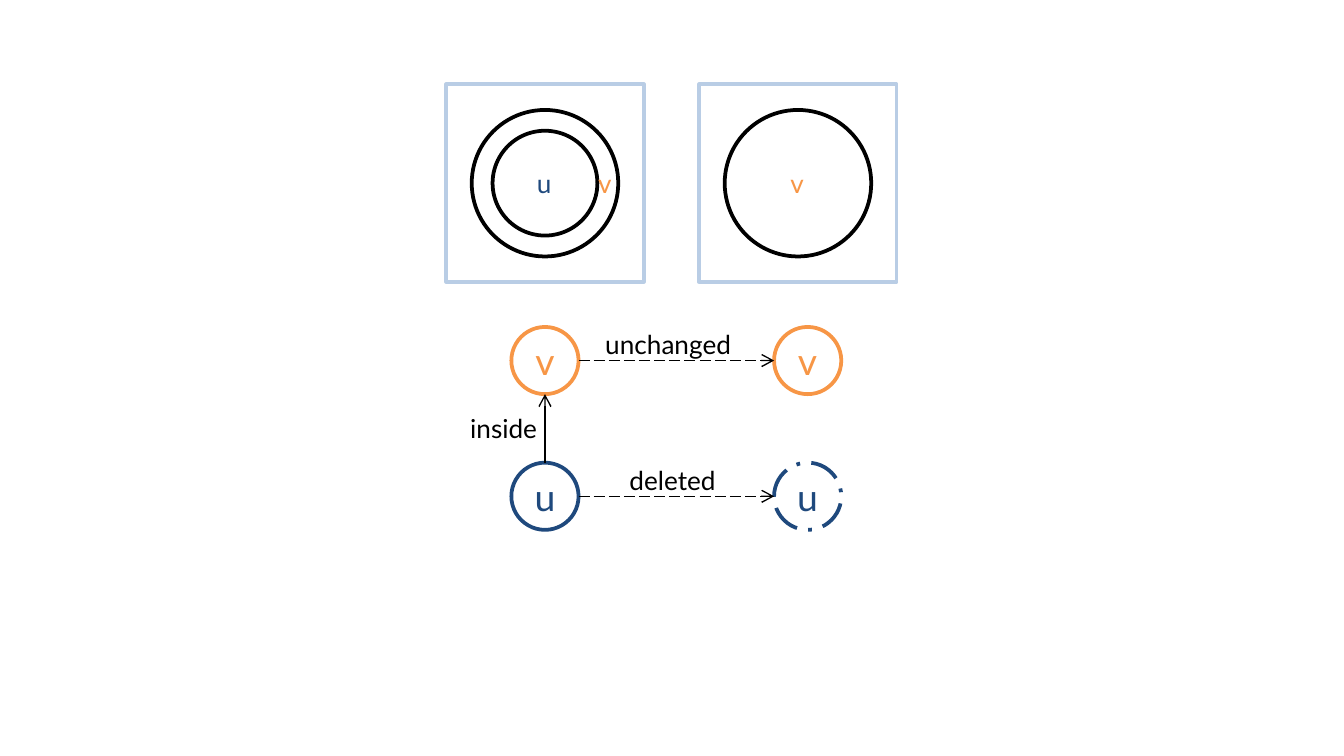
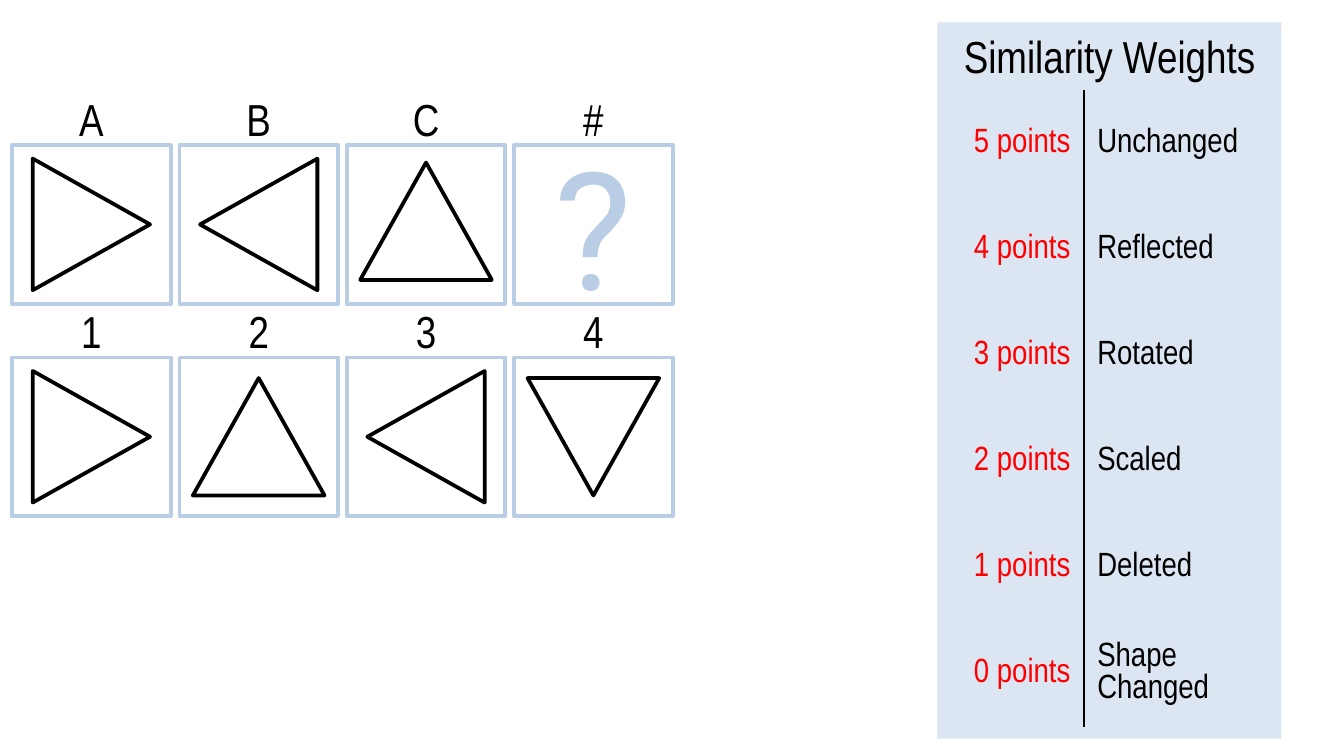
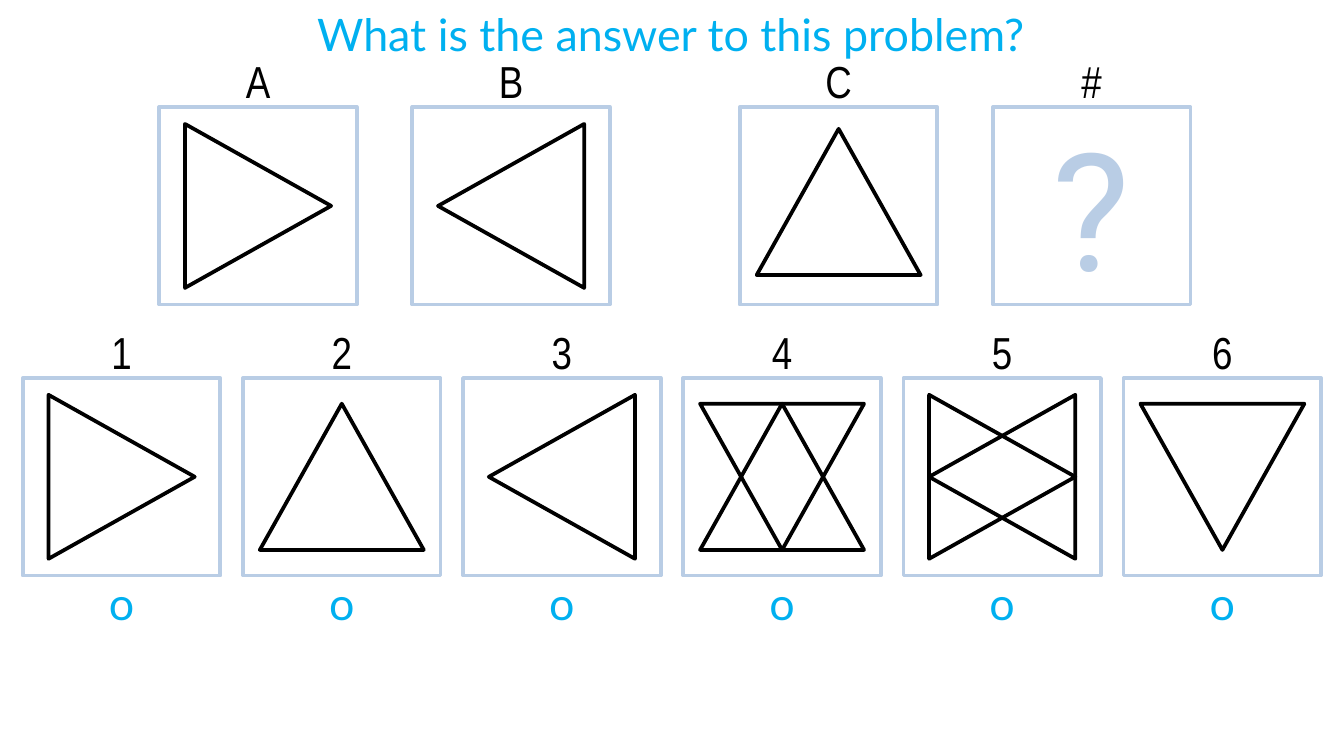
from lxml import etree
from pptx import Presentation
from pptx import util as u
from pptx.dml.color import RGBColor
from pptx.enum import dml, shapes, text
from pptx.oxml.ns import qn

# Shared look
BLACK, WHITE, RED = "000000", "FFFFFF", "FF0000"
ORANGE, NAVY, CYAN = "F79646", "1F497D", "00B0F0"
FRAME, PANEL = "B9CDE5", "DCE6F2"
LATO, NARROW, ROBOTO = "Lato", "Arial Narrow", "Roboto"
NO_GRID_STYLE = "{2D5ABB26-0587-4C30-8999-92F81FD0307C}"
LEFT, CENTER, RIGHT = text.PP_ALIGN.LEFT, text.PP_ALIGN.CENTER, text.PP_ALIGN.RIGHT
TOP, MIDDLE, BOTTOM = (text.MSO_ANCHOR.TOP, text.MSO_ANCHOR.MIDDLE,
                       text.MSO_ANCHOR.BOTTOM)
KIND = shapes.MSO_SHAPE

# A 16:9 slide as a grid of square units, 100 columns wide
SLIDE_W = u.Inches(10)
SLIDE_H = u.Emu(SLIDE_W * 9 // 16)
UNIT = SLIDE_W / 100

# Turns of the triangle, in degrees
UP, EAST, DOWN, WEST = 0, 90, 180, 270


def grid(*lengths):
    return [u.Emu(round(length * UNIT)) for length in lengths]


def rgb(hex_colour):
    return RGBColor.from_string(hex_colour)


def write(frame, words, size, font, colour, align=CENTER, anchor=MIDDLE, inset=None):
    """Put one styled paragraph into a text frame."""
    frame.text = words
    frame.vertical_anchor = anchor
    if inset is not None:
        frame.margin_left = frame.margin_right = u.Inches(inset)
        frame.margin_top = frame.margin_bottom = u.Inches(inset)
    line = frame.paragraphs[0]
    line.alignment = align
    for run in line.runs:
        run.font.size, run.font.name = u.Pt(size), font
        run.font.color.rgb = rgb(colour)


def outline(line, colour, width, dash=None):
    line.color.rgb = rgb(colour)
    line.width = u.Pt(width)
    if dash:
        line.dash_style = dash


def add_figure(parts, kind, box, stroke=None, fill=None, dash=None):
    figure = parts.add_shape(kind, *grid(*box))
    figure.shadow.inherit = False
    if fill:
        figure.fill.solid()
        figure.fill.fore_color.rgb = rgb(fill)
    else:
        figure.fill.background()
    if stroke:
        outline(figure.line, stroke, 2, dash)
    else:
        figure.line.fill.background()
    return figure


def add_caption(parts, box, words, size, font, colour, wrap=False, **layout):
    caption = parts.add_textbox(*grid(*box))
    write(caption.text_frame, words, size, font, colour, **layout)
    caption.text_frame.word_wrap = wrap
    caption.text_frame.auto_size = text.MSO_AUTO_SIZE.SHAPE_TO_FIT_TEXT


def add_arrow(parts, start, end, dash=None):
    arrow = parts.add_connector(shapes.MSO_CONNECTOR.STRAIGHT, *grid(*start, *end))
    outline(arrow.line, BLACK, 0.75, dash)
    etree.SubElement(arrow.line._get_or_add_ln(), qn("a:tailEnd"), type="arrow")
    etree.SubElement(arrow._element.spPr, qn("a:effectLst"))


# Slide 1: two drawings and the graph of their changes
def add_circle(parts, center, diameter, stroke=BLACK, dash=None):
    x, y = center
    box = (x - diameter / 2, y - diameter / 2, diameter, diameter)
    return add_figure(parts, KIND.OVAL, box, stroke, WHITE, dash)


def add_drawing(parts, left, top, diameters, names):
    """A frame with concentric circles; names are (word, colour, column)."""
    size = 14.7
    add_figure(parts, KIND.RECTANGLE, (left, top, size, size), FRAME)
    for diameter in diameters:
        add_circle(parts, (left + size / 2, top + size / 2), diameter)
    for word, colour, column in names:
        add_caption(parts, (left + column, top + 6.15, 1.15, 2.4), word, 14, LATO,
                    colour, align=LEFT, anchor=TOP, inset=0)


def add_change_graph(parts, left, top):
    node, across, down = 5, 19.55, 10.1
    radius = node / 2
    rows = [("v", ORANGE, "unchanged", 6, 12.6, None),
            ("u", NAVY, "deleted", 7.8, 9.2, dml.MSO_LINE.LONG_DASH_DOT)]
    for row, (name, colour, change, indent, width, dash) in enumerate(rows):
        y = top + radius + row * down
        for x, style in ((left + radius, None), (left + radius + across, dash)):
            circle = add_circle(parts, (x, y), node, colour, style)
            write(circle.text_frame, name, 20, LATO, colour, inset=0)
        add_arrow(parts, (left + node, y), (left + across, y), dml.MSO_LINE.LONG_DASH)
        add_caption(parts, (left + indent, y - 2.9, width, 3.4), change, 14, LATO,
                    BLACK, align=LEFT, anchor=TOP)
    add_arrow(parts, (left + radius, top + down), (left + radius, top + node))
    add_caption(parts, (left - 4.05, top + 5.9, 7.6, 3.4), "inside", 14, LATO,
                BLACK, align=LEFT, anchor=TOP)


def build_change_slide(slide):
    parts = slide.shapes
    add_change_graph(parts, 38.05, 24.33)
    add_drawing(parts, 33.2, 6.28, (10.9, 7.8), [("v", ORANGE, 11.3), ("u", NAVY, 6.75)])
    add_drawing(parts, 52.02, 6.28, (10.9,), [("v", ORANGE, 6.8)])


# Slides 2 and 3: puzzle frames with triangles
QUESTION = [("A", [EAST]), ("B", [WEST]), ("C", [UP]), ("#", [])]
SHORT_ANSWERS = [("1", [EAST]), ("2", [UP]), ("3", [WEST]), ("4", [DOWN])]
LONG_ANSWERS = SHORT_ANSWERS[:3] + [("4", [UP, DOWN]), ("5", [WEST, EAST]), ("6", [DOWN])]


def add_cell(parts, left, top, size, label_height, label, turns):
    """A labelled frame holding triangles, or a question mark if none."""
    frame = add_figure(parts, KIND.RECTANGLE, (left, top, size, size), FRAME)
    width, height = 0.83 * size, 0.74 * size
    lift = 0.02 * size if label == "C" else 0
    corner = (left + (size - width) / 2, top + (size - height) / 2 - lift)
    for turn in turns:
        triangle = add_figure(parts, KIND.ISOSCELES_TRIANGLE,
                              (*corner, width, height), BLACK)
        triangle.rotation = turn
    if not turns:
        write(frame.text_frame, "?", 88, ROBOTO, FRAME)
    add_caption(parts, (left, top - label_height, size, label_height), label, 24,
                NARROW, BLACK, wrap=True, anchor=BOTTOM, inset=0)


def add_cell_row(parts, left, top, size, pitch, label_height, cells):
    for column, (label, turns) in enumerate(cells):
        add_cell(parts, left + column * pitch, top, size, label_height, label, turns)


WEIGHTS = [("5 points", "Unchanged"), ("4 points", "Reflected"),
           ("3 points", "Rotated"), ("2 points", "Scaled"),
           ("1 points", "Deleted"), ("0 points", "Shape Changed")]


def add_divider(cell, side):
    border = etree.Element(qn(side), w=str(u.Pt(1)))
    fill = etree.SubElement(border, qn("a:solidFill"))
    etree.SubElement(fill, qn("a:srgbClr"), val=BLACK)
    cell._tc.get_or_add_tcPr().insert(0, border)


def add_weights(parts, left, top, width, height):
    panel = add_figure(parts, KIND.RECTANGLE, (left, top, width, height), fill=PANEL)
    write(panel.text_frame, "Similarity Weights", 24, NARROW, BLACK, anchor=TOP)

    columns = (9.2, 13.05)
    row_height = 7.9
    table = parts.add_table(len(WEIGHTS), 2, *grid(
        left + 1.7, top + 5.05, sum(columns), row_height * len(WEIGHTS))).table
    table.first_row = table.horz_banding = False
    table._tbl.tblPr.find(qn("a:tableStyleId")).text = NO_GRID_STYLE
    for column, column_width in zip(table.columns, grid(*columns)):
        column.width = column_width
    looks = [(RED, RIGHT, "a:lnR"), (BLACK, LEFT, "a:lnL")]
    for row, words in zip(table.rows, WEIGHTS):
        for cell, word, (colour, align, side) in zip(row.cells, words, looks):
            write(cell.text_frame, word, 18, NARROW, colour, align)
            cell.vertical_anchor = MIDDLE
            cell.fill.background()
            add_divider(cell, side)


def build_weights_slide(slide):
    puzzle = slide.shapes.add_group_shape().shapes
    for top, cells in ((10.8, QUESTION), (26.6, SHORT_ANSWERS)):
        add_cell_row(puzzle, 0.9, top, 11.8, 12.45, 3.2, cells)
    add_weights(slide.shapes, 69.75, 1.67, 25.6, 53.3)


def build_question_slide(slide):
    # Title
    title = slide.shapes.title
    title.left, title.top, title.width, title.height = grid(-0.2, 0, 100.2, 5)
    write(title.text_frame, "What is the answer to this problem?", 24, LATO, CYAN,
          anchor=TOP)
    title.text_frame.auto_size = text.MSO_AUTO_SIZE.NONE

    # Two question pairs above, the answers below
    parts, size, label_height = slide.shapes, 14.7, 4
    for left, pair in ((11.85, QUESTION[:2]), (55.05, QUESTION[2:])):
        add_cell_row(parts, left, 7.97, size, 18.83, label_height, pair)
    left, top, pitch = 1.7, 28.13, 16.38
    add_cell_row(parts, left, top, size, pitch, label_height, LONG_ANSWERS)

    # Choice marks
    for column in range(len(LONG_ANSWERS)):
        add_caption(parts, (left + column * pitch, top + size, size, label_height), "ο",
                    24, LATO, CYAN, wrap=True, anchor=BOTTOM, inset=0)


def main():
    deck = Presentation()
    deck.slide_width, deck.slide_height = SLIDE_W, SLIDE_H
    title_only, blank = deck.slide_layouts[5], deck.slide_layouts[6]
    for layout, build in ((blank, build_change_slide), (blank, build_weights_slide),
                          (title_only, build_question_slide)):
        build(deck.slides.add_slide(layout))
    deck.save("out.pptx")


if __name__ == "__main__":
    main()
